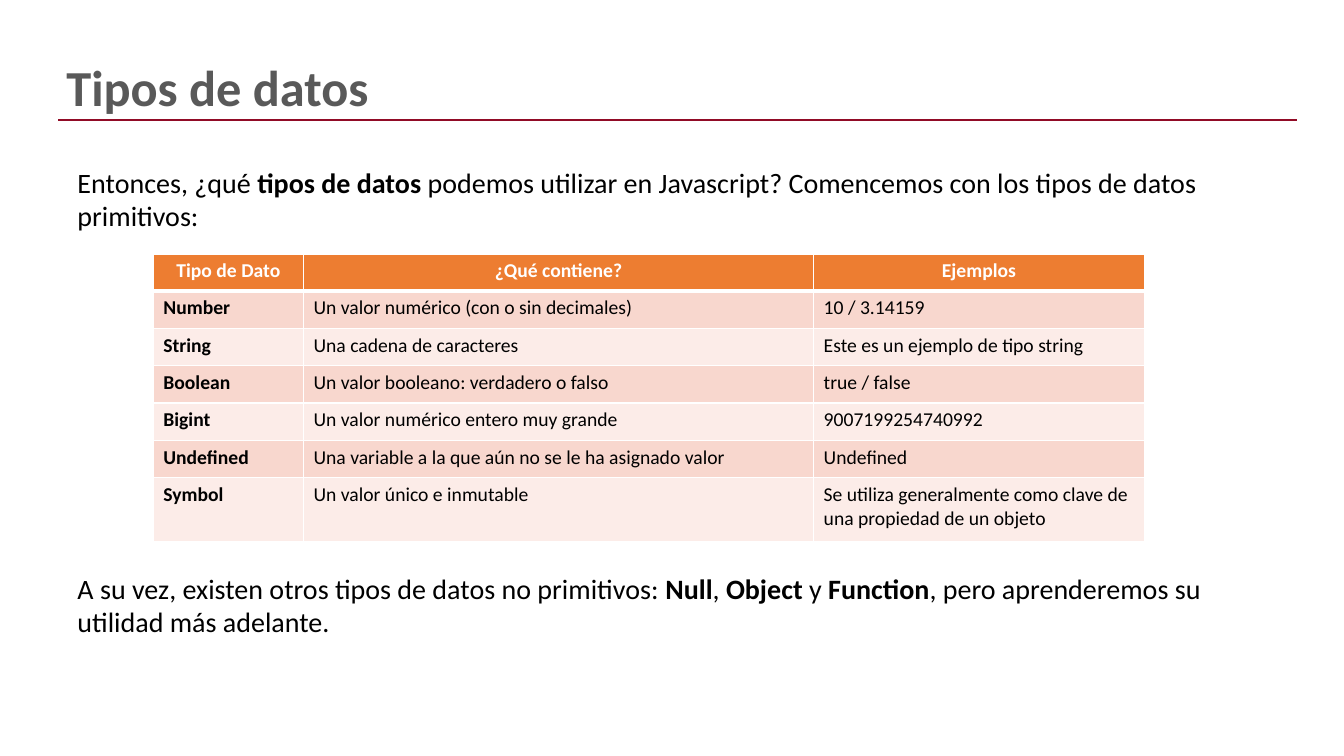
import pptx
import pptx.util
import pptx.dml.color
import pptx.enum.shapes
import pptx.enum.text
import pptx.oxml.ns
import lxml.etree

Inches = pptx.util.Inches
Pt = pptx.util.Pt

TITLE = "Tipos de datos"
# Each paragraph is a list of (text, bold) runs.
INTRO = [
    ("Entonces, ¿qué ", False),
    ("tipos de datos ", True),
    ("podemos utilizar en Javascript? Comencemos con los tipos de datos primitivos:", False),
]
CLOSING = [
    ("A su vez, existen otros tipos de datos no primitivos: ", False),
    ("Null", True),
    (", ", False),
    ("Object", True),
    (" y ", False),
    ("Function", True),
    (", pero aprenderemos su utilidad más adelante.", False),
]
TYPES = [
    ("Tipo de Dato", "¿Qué contiene?", "Ejemplos"),
    ("Number", "Un valor numérico (con o sin decimales)", "10 / 3.14159"),
    ("String", "Una cadena de caracteres", "Este es un ejemplo de tipo string"),
    ("Boolean", "Un valor booleano: verdadero o falso", "true / false"),
    ("Bigint", "Un valor numérico entero muy grande", "9007199254740992"),
    ("Undefined", "Una variable a la que aún no se le ha asignado valor", "Undefined"),
    ("Symbol", "Un valor único e inmutable",
     "Se utiliza generalmente como clave de una propiedad de un objeto"),
]
WIDTHS = [1.49, 5.06, 3.28]
HEIGHTS = [0.37] * 6 + [0.63]
COLORS = {
    "title": "595959", "rule": "910B26", "text": "000000", "white": "FFFFFF",
    "head": "ED7D31", "odd": "F8D7CE", "even": "FCECE8",
}
FONT = "Calibri"


def color(name):
    return pptx.dml.color.RGBColor.from_string(COLORS[name])


def add_run(para, text, size, tint, bold):
    run = para.add_run()
    run.text = text
    run.font.name = FONT
    run.font.size = Pt(size)
    run.font.bold = bold
    run.font.color.rgb = color(tint)


def add_frame(slide, left, top, width, height):
    box = slide.shapes.add_textbox(Inches(left), Inches(top), Inches(width), Inches(height))
    box.text_frame.word_wrap = True
    return box.text_frame


def add_borders(cell, widths):
    """Draw white borders; widths maps a side (L, R, T, B) to points."""
    props = cell._tc.get_or_add_tcPr()
    qn = pptx.oxml.ns.qn
    for side, width in widths.items():
        line = lxml.etree.SubElement(props, qn(f"a:ln{side}"), w=str(Pt(width)))
        fill = lxml.etree.SubElement(line, qn("a:solidFill"))
        lxml.etree.SubElement(fill, qn("a:srgbClr"), val=COLORS["white"])


def add_title(slide):
    rule = slide.shapes.add_connector(
        pptx.enum.shapes.MSO_CONNECTOR.STRAIGHT,
        Inches(0.58), Inches(1.19), Inches(12.86), Inches(1.19))
    rule.line.color.rgb = color("rule")
    rule.line.width = Pt(1.5)
    lxml.etree.SubElement(rule._element.spPr, pptx.oxml.ns.qn("a:effectLst"))

    frame = add_frame(slide, 0.56, 0.58, 10.32, 0.64)
    frame.vertical_anchor = pptx.enum.text.MSO_ANCHOR.MIDDLE
    para = frame.paragraphs[0]
    para.line_spacing = 0.9
    add_run(para, TITLE, 36, "title", True)


def add_body(slide):
    frame = add_frame(slide, 0.67, 1.59, 11.79, 5.15)
    closing = frame.add_paragraph()
    closing.space_before = Pt(242)  # leaves room for the table
    for para, runs in zip(frame.paragraphs, (INTRO, CLOSING)):
        for text, bold in runs:
            add_run(para, text, 20, "text", bold)


def add_types(slide):
    table = slide.shapes.add_table(
        len(TYPES), len(WIDTHS), Inches(1.52), Inches(2.52),
        Inches(sum(WIDTHS)), Inches(sum(HEIGHTS))).table
    for col, width in zip(table.columns, WIDTHS):
        col.width = Inches(width)
    for r, (height, texts) in enumerate(zip(HEIGHTS, TYPES)):
        table.rows[r].height = Inches(height)
        head = r == 0
        fill = "head" if head else ("even", "odd")[r % 2]
        for c, text in enumerate(texts):
            cell = table.cell(r, c)
            add_borders(cell, {"L": 1, "R": 1, "T": 3 if r == 1 else 1, "B": 3 if head else 1})
            cell.fill.solid()
            cell.fill.fore_color.rgb = color(fill)
            para = cell.text_frame.paragraphs[0]
            if head:
                para.alignment = pptx.enum.text.PP_ALIGN.CENTER
            add_run(para, text, 14, "white" if head else "text", head or c == 0)


def main():
    deck = pptx.Presentation()
    deck.slide_width = Inches(13.33)
    deck.slide_height = Inches(7.5)
    slide = deck.slides.add_slide(deck.slide_layouts[6])
    add_title(slide)
    add_body(slide)
    add_types(slide)
    deck.save("out.pptx")


if __name__ == "__main__":
    main()
